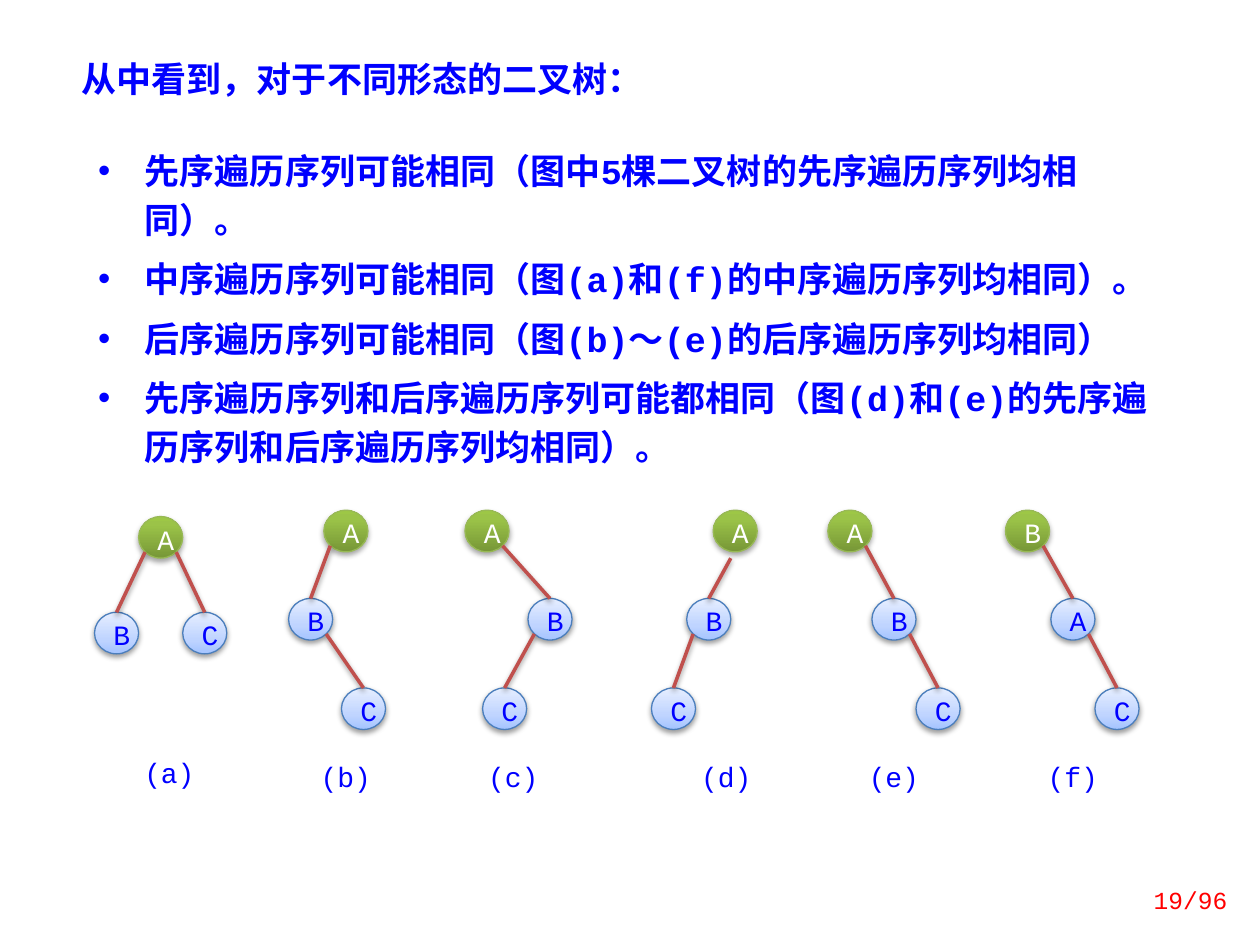
import lxml.etree
import pptx
import pptx.dml.color
import pptx.enum.lang
import pptx.enum.shapes
import pptx.enum.text
import pptx.oxml
import pptx.oxml.ns
import pptx.util

Inches = pptx.util.Inches
Pt = pptx.util.Pt
ALIGN = pptx.enum.text.PP_ALIGN
ANCHOR = pptx.enum.text.MSO_ANCHOR
SHAPE = pptx.enum.shapes.MSO_SHAPE
NS = pptx.oxml.ns.nsdecls("a")

COLORS = {
    "blue": "0000FF", "red": "FF0000", "white": "FFFFFF", "edge": "C0504D",
    "root_line": "98B955", "child_line": "4B7EBC", "shadow": "000000",
}
GRADIENTS = {
    "root": [(0, "779737"), (80, "9BC348"), (100, "9DC746")],
    "child": [(0, "A4C4FF"), (35, "BFD4FF"), (100, "E6EEFF")],
}
NODE_W, NODE_H = 0.35, 0.33
DIAGONAL = 0.5 ** 0.5 / 2
BULLET_INDENT = Inches(0.37)

BULLETS = [
    "先序遍历序列可能相同（图中5棵二叉树的先序遍历序列均相同）。",
    "中序遍历序列可能相同（图(a)和(f)的中序遍历序列均相同）。",
    "后序遍历序列可能相同（图(b)～(e)的后序遍历序列均相同）",
    "先序遍历序列和后序遍历序列可能都相同（图(d)和(e)的先序遍历序列和后序遍历序列均相同）。",
]

TREES = [
    dict(name="(a)", box=(1.1, 4.1), root="A", label=(-0.07, 1.82),
         children=[("B", -0.35, 0.76, 0), ("C", 0.35, 0.76, 0)]),
    dict(name="(b)", box=(2.57, 4.05), root="A", label=(-0.14, 1.9),
         children=[("B", -0.28, 0.7, 0), ("C", 0.14, 1.41, 1)]),
    dict(name="(c)", box=(3.69, 4.05), root="A", label=(0.07, 1.9),
         children=[("B", 0.5, 0.7, 0), ("C", 0.14, 1.41, 1)]),
    dict(name="(d)", box=(5.66, 4.05), root="A", label=(-0.21, 1.9),
         children=[("B", -0.21, 0.7, 0), ("C", -0.49, 1.41, 1)],
         first_start=(0.14, 0.38)),
    dict(name="(e)", box=(6.57, 4.05), root="A", label=(0.21, 1.9),
         children=[("B", 0.35, 0.7, 0), ("C", 0.7, 1.41, 1)]),
    dict(name="(f)", box=(7.98, 4.05), root="B", label=(0.22, 1.9),
         children=[("A", 0.36, 0.7, 0), ("C", 0.71, 1.41, 1)]),
]


def rgb(name):
    return pptx.dml.color.RGBColor.from_string(COLORS[name])


def set_attrs(obj, values):
    for key, value in values.items():
        setattr(obj, key, value)


def write(p, text, size, color, bold=False, **paragraph_format):
    set_attrs(p, paragraph_format)
    r = p.add_run()
    r.text = text
    set_attrs(r.font, {
        "name": "Courier New", "size": Pt(size), "bold": bold,
        "language_id": pptx.enum.lang.MSO_LANGUAGE_ID.SIMPLIFIED_CHINESE,
    })
    r.font.color.rgb = rgb(color)


def add_text(shapes, box, text, size, color, anchor=ANCHOR.TOP, **text_format):
    tf = shapes.add_textbox(*map(Inches, box)).text_frame
    set_attrs(tf, {"word_wrap": True, "vertical_anchor": anchor})
    write(tf.paragraphs[0], text, size, color, **text_format)


def add_shadow(sp, distance, alpha):
    sp._element.spPr.append(pptx.oxml.parse_xml(
        f'<a:effectLst {NS}><a:outerShdw blurRad="{Pt(3.1)}" dist="{Pt(distance)}" '
        f'dir="5400000" rotWithShape="0"><a:srgbClr val="{COLORS["shadow"]}">'
        f'<a:alpha val="{alpha * 1000}"/></a:srgbClr></a:outerShdw></a:effectLst>'))


def add_gradient(sp, stops):
    items = "".join(f'<a:gs pos="{pos * 1000}"><a:srgbClr val="{color}"/></a:gs>'
                    for pos, color in stops)
    sp._element.spPr.append(pptx.oxml.parse_xml(
        f'<a:gradFill {NS} rotWithShape="1"><a:gsLst>{items}</a:gsLst>'
        f'<a:lin ang="16200000" scaled="0"/></a:gradFill>'))


def add_node(shapes, x, y, letter, kind):
    sp = shapes.add_shape(SHAPE.OVAL, *map(Inches, (x, y, NODE_W, NODE_H)))
    add_gradient(sp, GRADIENTS[kind])
    sp.line.color.rgb = rgb(kind + "_line")
    sp.line.width = Pt(0.75)
    is_root = kind == "root"
    add_shadow(sp, 1.8 if is_root else 1.6, 35 if is_root else 38)
    write(sp.text_frame.paragraphs[0], letter, 16, "white" if is_root else "blue",
          alignment=ALIGN.CENTER, line_spacing=Pt(21))


def add_edge(shapes, start, end):
    line = shapes.add_connector(pptx.enum.shapes.MSO_CONNECTOR.STRAIGHT,
                                *map(Inches, (*start, *end)))
    line.line.color.rgb = rgb("edge")
    line.line.width = Pt(2)
    add_shadow(line, 1.6, 38)


def edge_start(parent, child):
    side = 1 if child[0] > parent[0] else -1
    return (parent[0] + NODE_W * (0.5 + side * DIAGONAL),
            parent[1] + NODE_H * (0.5 + DIAGONAL))


def add_tree(s, box, name, root, children, label, first_start=None):
    x, y = box
    shapes = s.shapes.add_group_shape().shapes
    places = [box] + [(x + dx, y + dy) for _, dx, dy, _ in children]
    add_node(shapes, x, y, root, "root")
    for (letter, *_), place in zip(children, places[1:]):
        add_node(shapes, *place, letter, "child")
    for i, (child, place) in enumerate(zip(children, places[1:])):
        start = edge_start(places[child[3]], place)
        if i == 0 and first_start:
            start = (x + first_start[0], y + first_start[1])
        add_edge(shapes, start, (place[0] + NODE_W / 2, place[1]))
    add_text(shapes, (x + label[0], y + label[1], 0.63, 0.4), name, 16, "blue",
             alignment=ALIGN.CENTER, line_spacing=Pt(21))


def add_bullets(s, box):
    sp = s.shapes.add_shape(SHAPE.RECTANGLE, *map(Inches, box))
    sp.shadow.inherit = False
    sp.fill.solid()
    sp.fill.fore_color.rgb = rgb("white")
    sp.line.fill.background()
    tf = sp.text_frame
    set_attrs(tf, {
        "margin_left": Inches(0.16), "margin_right": Inches(0.1),
        "margin_top": Inches(0.11), "margin_bottom": Inches(0.12),
        "word_wrap": True, "vertical_anchor": ANCHOR.TOP,
    })
    for i, text in enumerate(BULLETS):
        p = tf.add_paragraph() if i else tf.paragraphs[0]
        pPr = p._p.get_or_add_pPr()
        for key, value in (("marL", BULLET_INDENT), ("indent", -BULLET_INDENT),
                           ("hangingPunct", 0)):
            pPr.set(key, str(value))
        for tag, key, value in (("a:buFont", "typeface", "Arial"), ("a:buChar", "char", "•")):
            lxml.etree.SubElement(pPr, pptx.oxml.ns.qn(tag)).set(key, value)
        write(p, text, 20, "blue", True, alignment=ALIGN.LEFT,
              line_spacing=Pt(28), space_before=Pt(6 if i else 0))


def main():
    prs = pptx.Presentation()
    set_attrs(prs, {"slide_width": Inches(10), "slide_height": Inches(7.5)})
    s = prs.slides.add_slide(prs.slide_layouts[6])
    add_text(s.shapes, (0.55, 0.47, 5.23, 0.37), "从中看到，对于不同形态的二叉树：",
             20, "blue", bold=True, line_spacing=0.8)
    add_bullets(s, (0.62, 1.02, 8.86, 2.42))
    add_text(s.shapes, (8.78, 6.94, 1.06, 0.4), "19/96", 14, "red",
             anchor=ANCHOR.MIDDLE, alignment=ALIGN.RIGHT)
    for tree in TREES:
        add_tree(s, **tree)
    prs.save("out.pptx")


if __name__ == "__main__":
    main()
